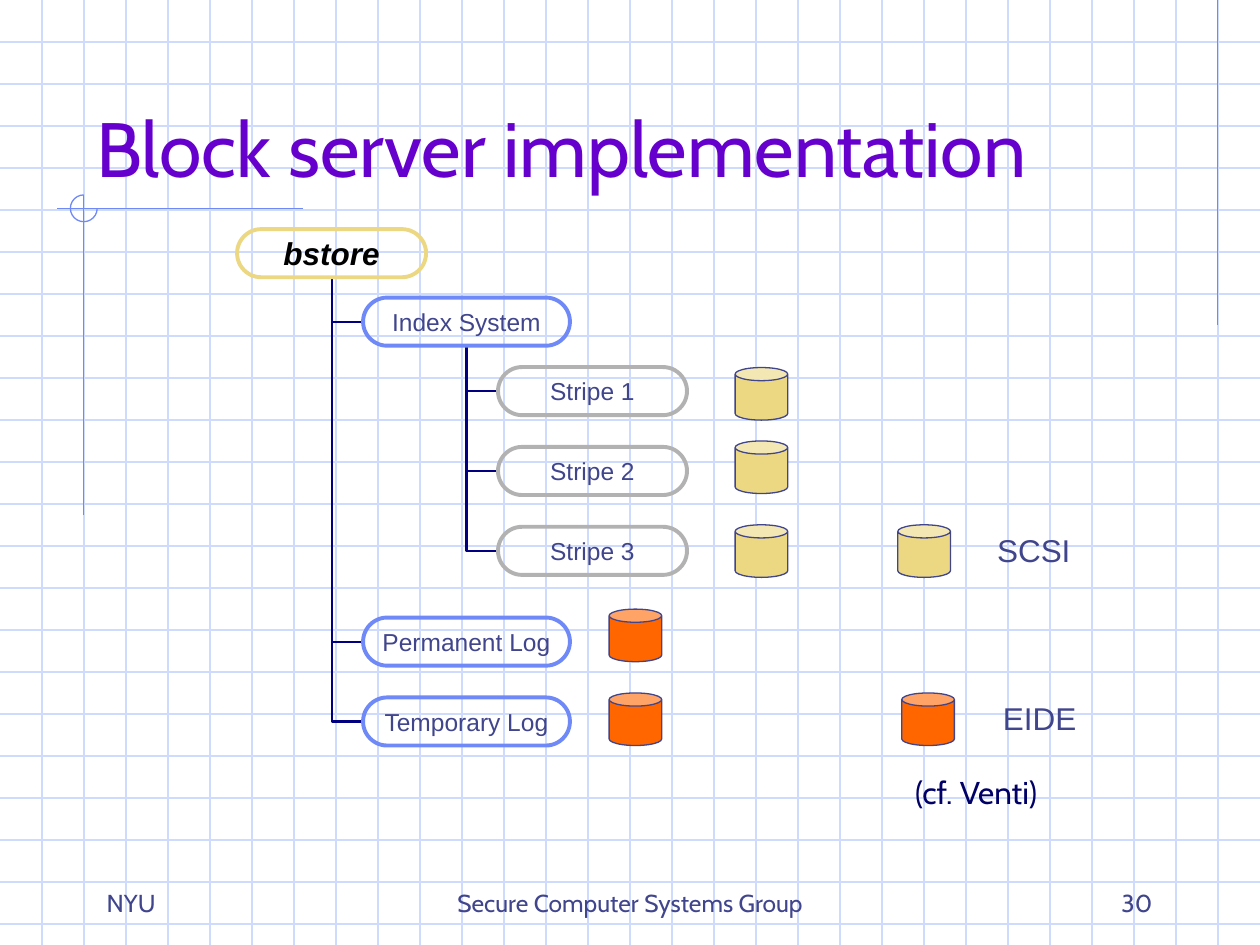
from lxml.etree import SubElement
from pptx import Presentation
from pptx.dml.color import RGBColor
from pptx.enum.shapes import MSO_CONNECTOR, MSO_SHAPE
from pptx.enum.text import MSO_ANCHOR, PP_ALIGN
from pptx.oxml.ns import qn
from pptx.util import Cm, Pt

WIDE, HIGH = 25.4, 19.05
GRID, BLUE, NAVY, INK = "CFDBFD", "6F89F7", "000080", "40458C"
GOLD, GREY, ORANGE = "ECD882", "B2B2B2", "FF6600"
PILL, CAN, STEP = 0.97, 1.06, 1.61
BASE = {"name": "Arial", "size": Pt(14), "bold": False, "italic": False}
ROOT = BASE | {"size": Pt(18), "bold": True, "italic": True}
LABEL = BASE | {"size": Pt(18)}
FOOT = BASE | {"name": "Cabin"}
NOTE = LABEL | {"name": "Cabin"}
TITLE = NOTE | {"size": Pt(44)}


def paint(color):
    """Turn a hex string into a colour."""
    return RGBColor.from_string(color)


def write(frame, text, look, color=INK, align=PP_ALIGN.LEFT, anchor=MSO_ANCHOR.TOP, wrap=True):
    """Put one styled paragraph into a text frame."""
    frame.word_wrap = wrap
    frame.vertical_anchor = anchor
    para = frame.paragraphs[0]
    para.alignment = align
    run = para.add_run()
    run.text = text
    for key, value in look.items():
        setattr(run.font, key, value)
    run.font.color.rgb = paint(color)


def label(slide, box, text, look, **rest):
    """Add a text box."""
    write(slide.shapes.add_textbox(*map(Cm, box)).text_frame, text, look, **rest)


def line(slide, ends, color, width=0.75):
    """Add a plain line without shadow."""
    link = slide.shapes.add_connector(MSO_CONNECTOR.STRAIGHT, *map(Cm, ends))
    link.line.color.rgb = paint(color)
    link.line.width = Pt(width)
    SubElement(link._element.spPr, qn("a:effectLst"))
    return link


def shape(slide, kind, box, edge, width=0.75, fill=None):
    """Add an outlined shape, filled or clear."""
    item = slide.shapes.add_shape(kind, *map(Cm, box))
    item.shadow.inherit = False
    item.line.color.rgb = paint(edge)
    item.line.width = Pt(width)
    if fill:
        item.fill.solid()
        item.fill.fore_color.rgb = paint(fill)
    else:
        item.fill.background()
    return item


def elbow(slide, parent, child):
    """Join the foot of a parent box to the left side of a child box."""
    left, top, width, height = parent
    ends = left + width / 2, top + height, child[0], child[1] + child[3] / 2
    props = line(slide, ends, NAVY, 1.25)._element.spPr
    props.find(qn("a:xfrm")).set("rot", "10800000")
    props.find(qn("a:prstGeom")).set("prst", "bentConnector2")


def pill(slide, box, text, edge, look=BASE, color=INK):
    """Add a rounded node of the tree."""
    node = shape(slide, MSO_SHAPE.ROUNDED_RECTANGLE, box, edge, 2.25)
    node.adjustments[0] = 0.5
    frame = node.text_frame
    for side in ("left", "right"):
        setattr(frame, f"margin_{side}", Cm(0.18))
    for side in ("top", "bottom"):
        setattr(frame, f"margin_{side}", Cm(0.08))
    write(frame, text, look, color, PP_ALIGN.CENTER, MSO_ANCHOR.MIDDLE, False)


def paper(slide, left, top, width, height):
    """Rule the squared paper and its corner marks."""
    gap = 2.54 / 3
    for row in range(1, int(height / gap) + 1):
        y = top + row * gap
        line(slide, (left, y, left + width, y), GRID)
    for col in range(1, int((width - 0.1) / gap) + 1):
        x = left + col * gap
        line(slide, (x, top, x, top + height), GRID)
    x, y = left + 1.69, top + 4.2
    line(slide, (left + 24.55, top, left + 24.55, top + 6.55), BLUE)
    line(slide, (x + 4.41, y, x - 0.55, y), BLUE)
    line(slide, (x, y - 0.26, x, y + 6.19), BLUE)
    arc = shape(slide, MSO_SHAPE.ARC, (x - 0.27, y - 0.27, 0.54, 0.54), BLUE)
    arc.adjustments[0], arc.adjustments[1] = 0, 162


def tree(slide, left, top):
    """Draw the block store and its parts."""
    root = left, top, 3.81, PILL
    index, *logs = [(left + 2.54, top + down, 4.17, PILL)
                    for down in (1.38, 7.83, 7.83 + STEP)]
    parts = [(left + 5.26, top + 2.78 + n * STEP, 3.81, PILL) for n in range(3)]
    for child in parts:
        elbow(slide, index, child)
    for child in (index, *logs):
        elbow(slide, root, child)
    pill(slide, root, "bstore", GOLD, ROOT, "000000")
    for box, text in zip((index, *logs), ("Index System", "Permanent Log", "Temporary Log")):
        pill(slide, box, text, BLUE)
    for num, box in enumerate(parts, 1):
        pill(slide, box, f"Stripe {num}", GREY)


def disks(slide, left, top, drops, fill):
    """Stack disks at the given drops below the top."""
    for drop in drops:
        shape(slide, MSO_SHAPE.CAN, (left, top + drop, CAN, CAN), INK, fill=fill)


def legend(slide, left, top):
    """Name the two kinds of disk and add the reference."""
    disks(slide, left, top, [0], GOLD)
    label(slide, (left + 1.75, top, 2.4, 1.02), "SCSI", LABEL)
    disks(slide, left + 0.08, top, [3.39], ORANGE)
    label(slide, (left + 1.87, top + 3.39, 3.38, 1.02), "EIDE", LABEL)
    label(slide, (left + 0.1, top + 4.87, 3.61, 1.02), "(cf. Venti)", NOTE, color="000066")


def footer(slide, left, top, height):
    """Set the three footer texts."""
    for shift, width, text, align in (
        (0, 5.28, "NYU", PP_ALIGN.LEFT),
        (6.78, 8.05, "Secure Computer Systems Group", PP_ALIGN.CENTER),
        (16.3, 5.28, "30", PP_ALIGN.RIGHT),
    ):
        label(slide, (left + shift, top, width, height), text, FOOT,
              align=align, anchor=MSO_ANCHOR.BOTTOM)


def main():
    """Build and save the slide."""
    deck = Presentation()
    deck.slide_width, deck.slide_height = Cm(WIDE), Cm(HIGH)
    slide = deck.slides.add_slide(deck.slide_layouts[6])
    paper(slide, 0, 0, WIDE, HIGH)
    label(slide, (1.69, 0.84, 21.59, 3.18), "Block server implementation", TITLE,
          color="6600CC", anchor=MSO_ANCHOR.BOTTOM)
    tree(slide, 4.78, 4.62)
    disks(slide, 12.28, 12.28, (0, 1.69), ORANGE)
    disks(slide, 14.82, 7.41, (0, 1.48, 3.17), GOLD)
    legend(slide, 18.1, 10.58)
    footer(slide, 1.9, 17.35, 1.27)
    deck.save("out.pptx")


if __name__ == "__main__":
    main()
